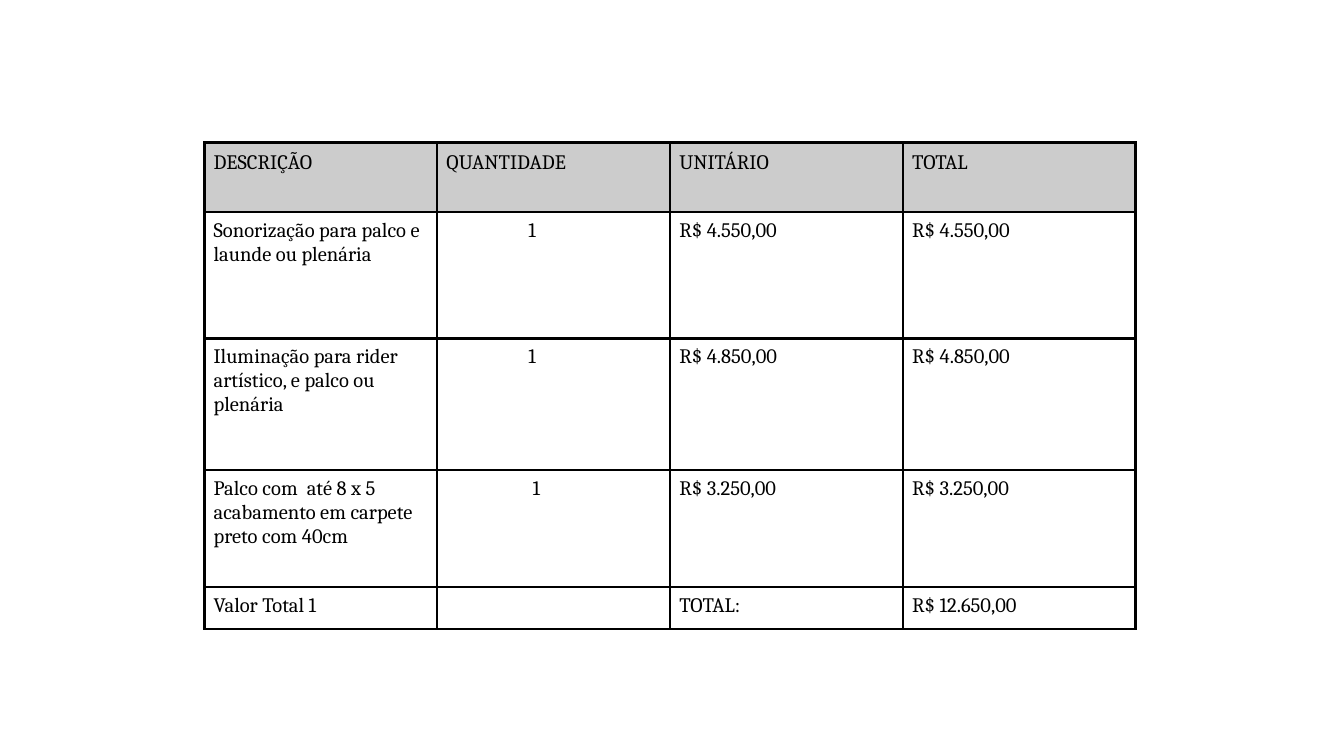
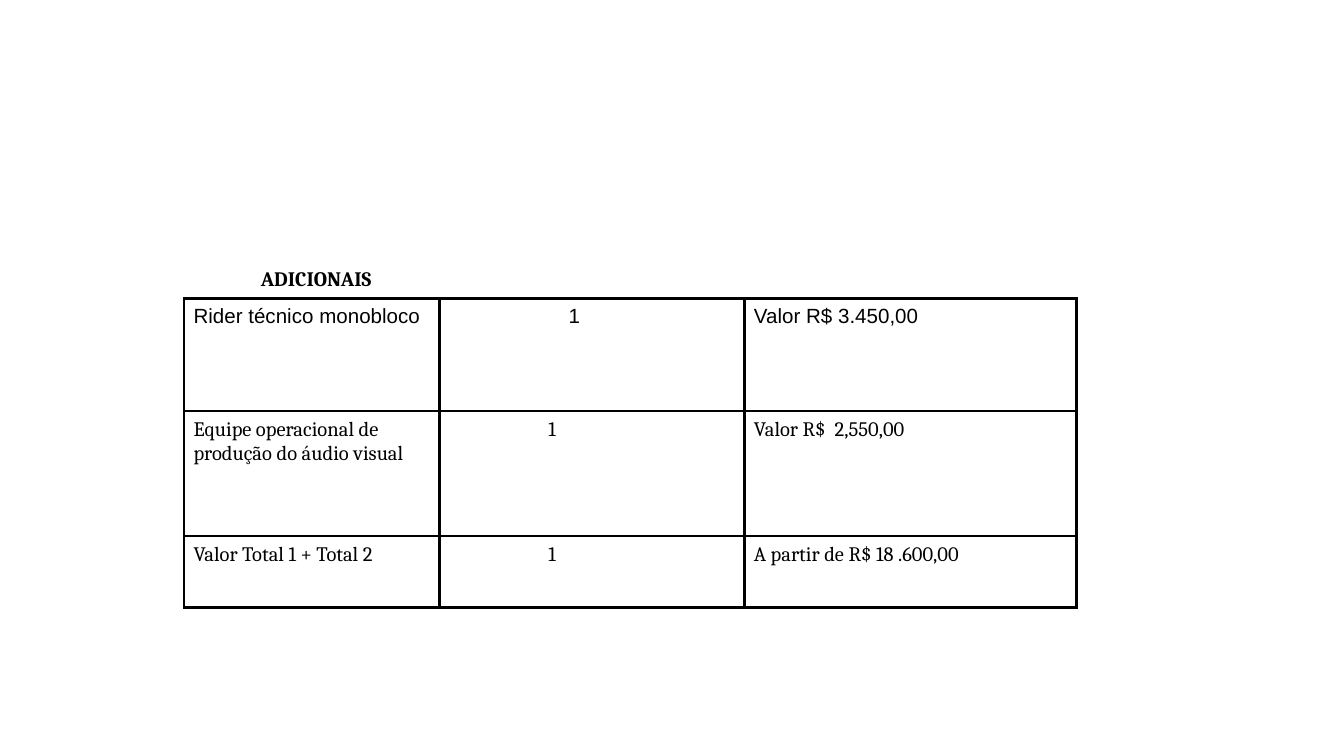
import lxml.etree
import pptx
import pptx.dml.color
import pptx.enum.text
import pptx.oxml.ns
import pptx.util

Inches = pptx.util.Inches
Pt = pptx.util.Pt
qn = pptx.oxml.ns.qn

SLIDE_WIDTH = Inches(10)
SLIDE_HEIGHT = SLIDE_WIDTH * 9 // 16
BLACK = pptx.dml.color.RGBColor(0x00, 0x00, 0x00)
HEADER_GRAY = pptx.dml.color.RGBColor(0xCC, 0xCC, 0xCC)
SERIF, SANS = "Cambria", "Arial"
TEXT_SIZE = Pt(11)
BORDER_WIDTH = Pt(1.47)
QUANTITY_COLUMN = 1

SERVICES = {
    "position": (1.52, 1.06),
    "columns": [6.93 / 4] * 4,
    "rows": [0.52, 0.94, 0.98, 0.87, 0.31],
    "header": True,
    "quantity_indents": [0, 0.61, 0.61, 0.64, 0],
    "fonts": [SERIF] * 5,
    "cells": [
        ("DESCRIÇÃO", "QUANTIDADE", "UNITÁRIO", "TOTAL"),
        ("Sonorização para palco e launde ou plenária", "1", "R$ 4.550,00", "R$ 4.550,00"),
        ("Iluminação para rider  artístico, e palco ou plenária", "1",
         "R$ 4.850,00", "R$ 4.850,00"),
        ("Palco com  até 8 x 5 acabamento em carpete preto com 40cm", "1",
         "R$ 3.250,00", "R$ 3.250,00"),
        ("Valor Total 1", "", "TOTAL:", "R$ 12.650,00"),
    ],
}

EXTRAS_TITLE = "ADICIONAIS"
EXTRAS = {
    "position": (1.37, 2.22),
    "columns": [1.9, 2.27, 2.47],
    "rows": [0.84, 0.93, 0.53],
    "header": False,
    "quantity_indents": [0.89, 0.74, 0.74],
    "fonts": [SANS, SERIF, SERIF],
    "cells": [
        ("Rider técnico monobloco", "1", "Valor R$ 3.450,00"),
        ("Equipe operacional de produção do áudio visual", "1", "Valor R$  2,550,00"),
        ("Valor Total 1 + Total 2", "1", "A partir de R$ 18 .600,00"),
    ],
}


def write_text(text_frame, text, font=SERIF, bold=False, indent=0, spaced=False):
    """Write one left-aligned paragraph; spaced adds the heading line spacing."""
    paragraph = text_frame.paragraphs[0]
    paragraph.alignment = pptx.enum.text.PP_ALIGN.LEFT
    paragraph.line_spacing = 1.07 if spaced else 1.0
    paragraph.space_before = Pt(0)
    paragraph.space_after = Pt(8 if spaced else 0)
    if indent:
        paragraph._p.get_or_add_pPr().set("marL", str(Inches(indent)))
    if not text:
        end = lxml.etree.SubElement(paragraph._p, qn("a:endParaRPr"))
        end.set("sz", str(int(TEXT_SIZE.pt * 100)))
        return
    run = paragraph.add_run()
    run.text = text
    run.font.name = font
    run.font.size = TEXT_SIZE
    run.font.bold = bold
    run.font.color.rgb = BLACK


def set_borders(cell):
    properties = cell._tc.get_or_add_tcPr()
    for index, side in enumerate(("a:lnL", "a:lnR", "a:lnT", "a:lnB")):
        line = lxml.etree.Element(qn(side), w=str(BORDER_WIDTH))
        fill = lxml.etree.SubElement(line, qn("a:solidFill"))
        lxml.etree.SubElement(fill, qn("a:srgbClr"), val=str(BLACK))
        properties.insert(index, line)


def add_price_table(slide, content):
    left, top = content["position"]
    columns, rows = content["columns"], content["rows"]
    table = slide.shapes.add_table(
        len(rows), len(columns), Inches(left), Inches(top),
        Inches(sum(columns)), Inches(sum(rows))).table
    table.first_row = content["header"]
    table.horz_banding = False
    for column, width in zip(table.columns, columns):
        column.width = Inches(width)
    for row_index, texts in enumerate(content["cells"]):
        table.rows[row_index].height = Inches(rows[row_index])
        is_header = content["header"] and row_index == 0
        for column_index, text in enumerate(texts):
            cell = table.cell(row_index, column_index)
            cell.margin_left = cell.margin_right = Inches(0.07)
            cell.margin_top = cell.margin_bottom = Inches(0.05)
            if is_header:
                cell.fill.solid()
                cell.fill.fore_color.rgb = HEADER_GRAY
            else:
                cell.fill.background()
            set_borders(cell)
            is_quantity = column_index == QUANTITY_COLUMN
            write_text(cell.text_frame, text, font=content["fonts"][row_index],
                       indent=content["quantity_indents"][row_index] if is_quantity else 0,
                       spaced=is_header)


def add_title(slide, text, left, top, width, height):
    title = slide.shapes.title
    title.left, title.top = Inches(left), Inches(top)
    title.width, title.height = Inches(width), Inches(height)
    frame = title.text_frame
    frame.word_wrap = True
    frame.auto_size = pptx.enum.text.MSO_AUTO_SIZE.NONE
    frame.vertical_anchor = pptx.enum.text.MSO_ANCHOR.MIDDLE
    frame.margin_left = frame.margin_right = Inches(0.1)
    frame.margin_top = frame.margin_bottom = Inches(0.1)
    write_text(frame, text, bold=True, spaced=True)


def main():
    presentation = pptx.Presentation()
    presentation.slide_width = SLIDE_WIDTH
    presentation.slide_height = SLIDE_HEIGHT
    title_only, blank = presentation.slide_layouts[5], presentation.slide_layouts[6]

    services_slide = presentation.slides.add_slide(blank)
    add_price_table(services_slide, SERVICES)

    extras_slide = presentation.slides.add_slide(title_only)
    add_title(extras_slide, EXTRAS_TITLE, 1.84, 1.74, 3.28, 0.65)
    add_price_table(extras_slide, EXTRAS)

    presentation.save("out.pptx")


if __name__ == "__main__":
    main()
